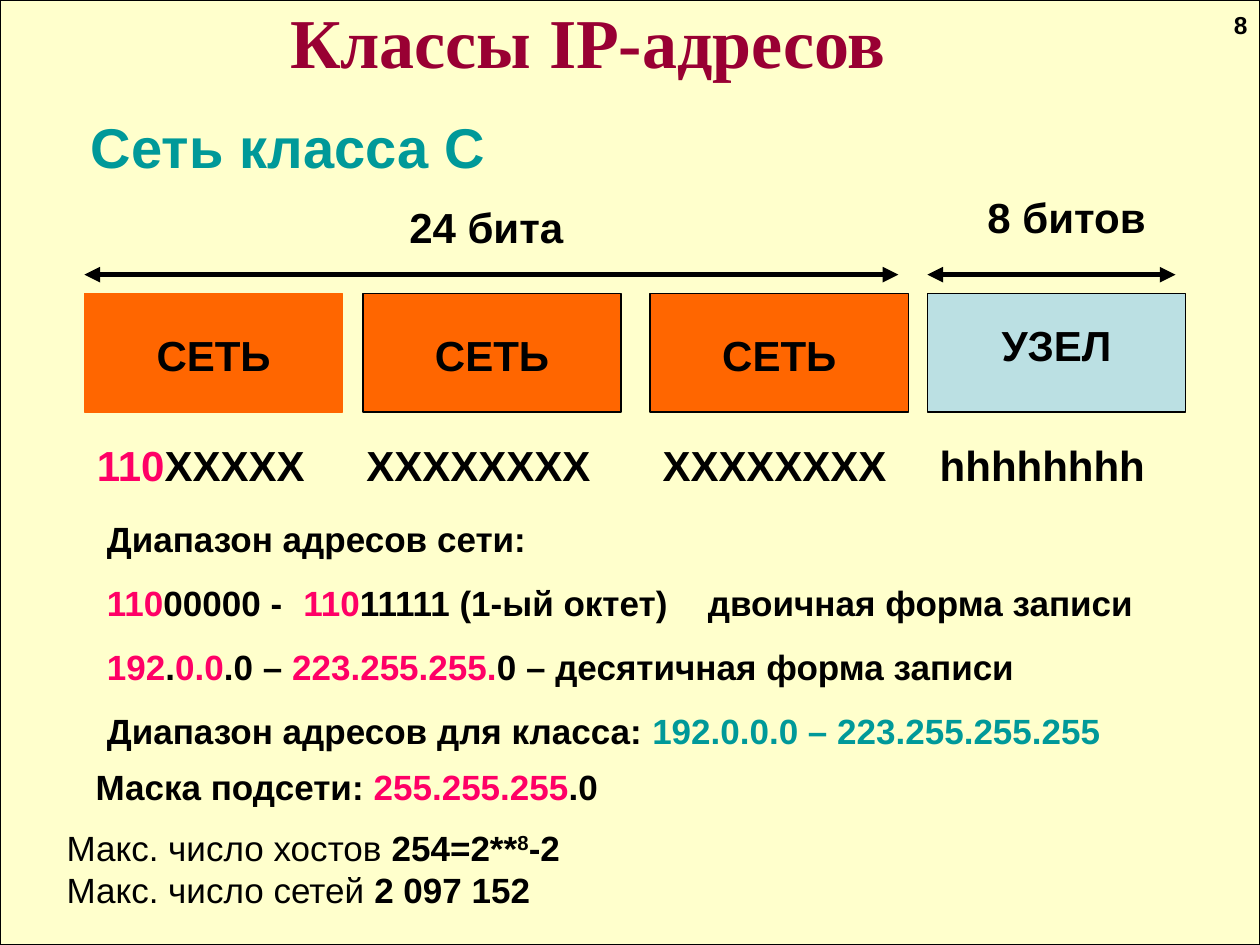
from lxml import etree
from pptx import Presentation
from pptx.dml.color import RGBColor
from pptx.enum.shapes import MSO_CONNECTOR, MSO_SHAPE
from pptx.enum.text import MSO_ANCHOR, MSO_AUTO_SIZE, PP_ALIGN
from pptx.oxml.ns import qn
from pptx.util import Inches, Pt

RECT = MSO_SHAPE.RECTANGLE
STRAIGHT = MSO_CONNECTOR.STRAIGHT
LEFT, CENTER, RIGHT, JUSTIFY = (PP_ALIGN.LEFT, PP_ALIGN.CENTER,
                                PP_ALIGN.RIGHT, PP_ALIGN.JUSTIFY)
TOP, MIDDLE = MSO_ANCHOR.TOP, MSO_ANCHOR.MIDDLE
FIT = MSO_AUTO_SIZE.SHAPE_TO_FIT_TEXT

COLORS = {
    "page": "FFFFCC",
    "black": "000000",
    "network": "FF6600",
    "host": "BBE0E3",
    "pink": "FF0066",
    "teal": "009999",
    "title": "990033",
}
PINK = {"color": "pink"}
BOLD = {"bold": True}
OCTET_W = 2.05


def rgb(name):
    return RGBColor.from_string(COLORS[name])


def add_box(slide, x, y, w, h, fill, line="black"):
    sp = slide.shapes.add_shape(RECT, Inches(x), Inches(y), Inches(w), Inches(h))
    sp.shadow.inherit = False
    sp.fill.solid()
    sp.fill.fore_color.rgb = rgb(fill)
    sp.line.color.rgb = rgb(line)
    sp.line.width = Pt(0.75)


def add_run(p, text, size, color="black", bold=True, font="Arial", superscript=False):
    r = p.add_run()
    r.text = text
    r.font.size = Pt(size)
    r.font.name = font
    r.font.bold = bold
    r.font.color.rgb = rgb(color)
    if superscript:
        r.font._element.set("baseline", "30000")


def add_tabs(p, stops):
    tabs = etree.SubElement(p._p.get_or_add_pPr(), qn("a:tabLst"))
    for stop in stops:
        etree.SubElement(tabs, qn("a:tab"), pos=str(Inches(stop)), algn="l")


def add_text(slide, x, y, w, h, paragraphs, size=24, align=LEFT, gap=0,
             spacing=None, insets=(0.05, 0.05), anchor=TOP, tabs=(), **fmt):
    """Add a text box; paragraphs is a string or lists of (text, format) runs."""
    if isinstance(paragraphs, str):
        paragraphs = [[(paragraphs, {})]]
    sp = slide.shapes.add_textbox(Inches(x), Inches(y), Inches(w), Inches(h))
    tf = sp.text_frame
    tf.word_wrap = True
    tf.auto_size = FIT
    tf.vertical_anchor = anchor
    tf.margin_top, tf.margin_bottom = map(Inches, insets)
    for i, runs in enumerate(paragraphs):
        p = tf.add_paragraph() if i else tf.paragraphs[0]
        p.alignment = align
        if spacing:
            p.line_spacing = spacing
        if i and gap:
            p.space_before = Pt(gap)
        if tabs:
            add_tabs(p, tabs)
        for text, own in runs:
            add_run(p, text, size, **{**fmt, **own})


def add_span(slide, x1, x2, y):
    """Add a double-headed arrow that marks a range of bits."""
    cn = slide.shapes.add_connector(STRAIGHT, Inches(x1), Inches(y),
                                    Inches(x2), Inches(y))
    cn.line.color.rgb = rgb("black")
    cn.line.width = Pt(3)
    for end in ("a:headEnd", "a:tailEnd"):
        etree.SubElement(cn.line._get_or_add_ln(), qn(end), type="triangle")
    etree.SubElement(cn._element.spPr, qn("a:effectLst"))


def add_octets(slide):
    network = ("СЕТЬ", 2.57, "network")
    octets = [
        (0.67, 0.67, network, "network", [("110", PINK), ("XXXXX", {})]),
        (2.88, 2.81, network, "black", [("XXXXXXXX", {})]),
        (5.16, 5.16, network, "black", [("XXXXXXXX", {})]),
        (7.36, 7.36, ("УЗЕЛ", 2.49, "host"), "black", [("hhhhhhhh", {})]),
    ]
    for x, bits_x, (label, label_y, fill), line, bits in octets:
        add_box(slide, x, 2.33, OCTET_W, 0.94, fill, line)
        add_text(slide, x, label_y, OCTET_W, 0.5, label, align=CENTER)
        add_text(slide, bits_x, 3.44, OCTET_W, 0.5, [bits])


def add_ranges(slide):
    ranges = [
        [("Диапазон адресов сети:", {})],
        [("110", PINK), ("00000 -\t", {}), ("110", PINK),
         ("11111 (1-ый октет)\tдвоичная форма записи", {})],
        [("192", PINK), (".", {}), ("0.0", PINK), (".0 – ", {}),
         ("223.255.255.", PINK), ("0 – десятичная форма записи", {})],
        [("Диапазон адресов для класса: ", {}),
         ("192.0.0.0 – 223.255.255.255", {"color": "teal"})],
    ]
    add_text(slide, 0.75, 4.06, 8.43, 2.29, ranges, size=20, gap=12.5,
             tabs=(1.56, 4.77))


def add_limits(slide):
    mask = [("Маска подсети: ", {}), ("255.255.255", PINK), (".0", {})]
    add_text(slide, 0.66, 6.03, 4.19, 0.44, [mask], size=20)
    limits = [
        [("Макс. число хостов ", {}), ("254=2**", BOLD),
         ("8", {"bold": True, "superscript": True}), ("-2", BOLD)],
        [("Макс. число сетей ", {}), ("2 097 152", BOLD)],
    ]
    add_text(slide, 0.43, 6.51, 9.17, 0.77, limits, size=20, align=JUSTIFY,
             bold=False)


def main():
    prs = Presentation()
    prs.slide_width, prs.slide_height = Inches(10), Inches(7.5)
    slide = prs.slides.add_slide(prs.slide_layouts[6])
    add_box(slide, 0, 0, 10, 7.5, "page")
    add_text(slide, 0, 0, 9.33, 0.72, "Классы IP-адресов", size=40, align=CENTER,
             spacing=0.7, insets=(0.17, 0.08), color="title", font="Times New Roman")
    add_text(slide, 9.57, 0, 0.43, 0.4, "8", size=14, align=RIGHT, anchor=MIDDLE)
    add_text(slide, 0.59, 0.84, 3.39, 0.64, "Сеть класса С", size=32,
             align=CENTER, color="teal")
    add_text(slide, 3.11, 1.55, 1.5, 0.5, "24 бита", align=CENTER)
    add_text(slide, 7.68, 1.47, 1.57, 0.5, "8 битов", align=CENTER)
    add_span(slide, 0.67, 7.13, 2.18)
    add_span(slide, 7.36, 9.33, 2.18)
    add_octets(slide)
    add_ranges(slide)
    add_limits(slide)
    prs.save("out.pptx")


if __name__ == "__main__":
    main()
